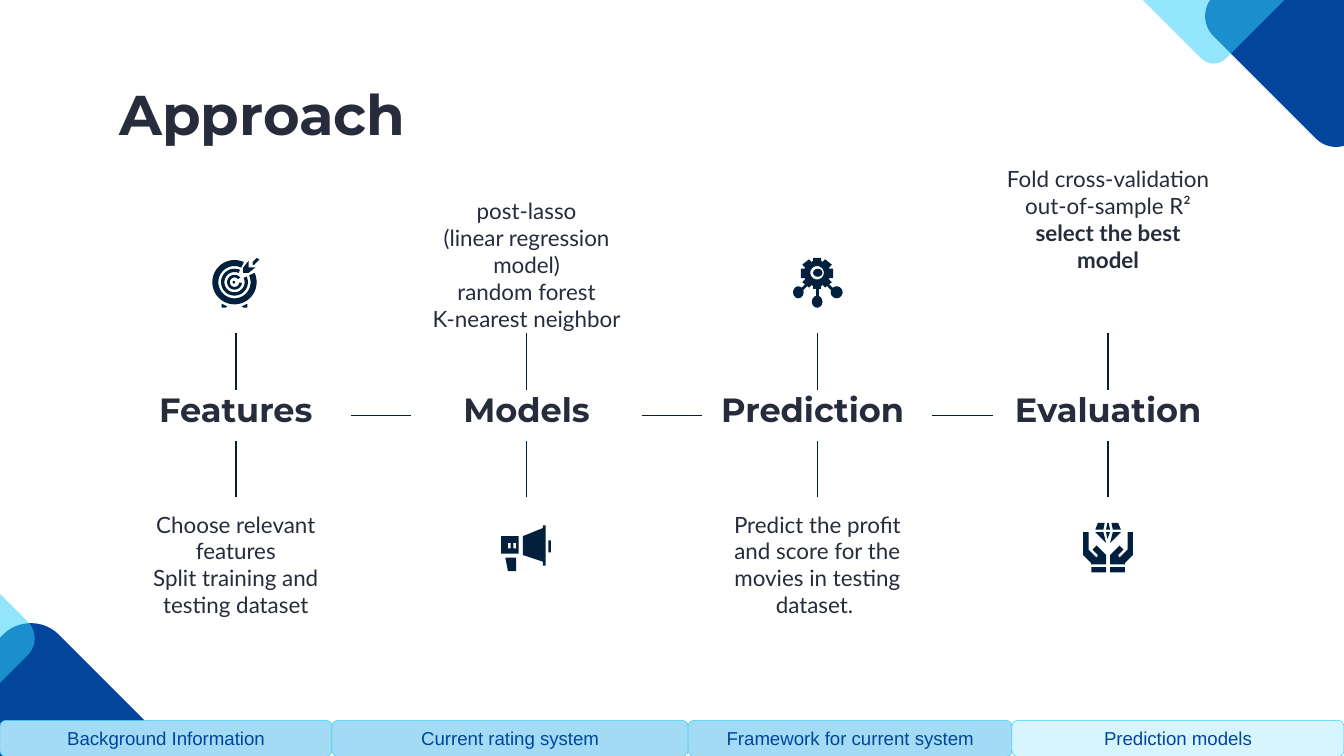
"""Build the Approach slide: four linked steps with icons and a section bar."""
import math

import lxml.etree
import pptx
import pptx.dml.color
import pptx.enum.shapes
import pptx.enum.text
import pptx.oxml.ns
import pptx.util

Inches = pptx.util.Inches
Pt = pptx.util.Pt
SHAPE = pptx.enum.shapes.MSO_SHAPE
ANCHOR = pptx.enum.text.MSO_ANCHOR
ALIGN = pptx.enum.text.PP_ALIGN
qn = pptx.oxml.ns.qn
color = pptx.dml.color.RGBColor.from_string
NAVY, BLUE, CYAN, INK = "01203D", "02459D", "33CFF8", "262C3B"

deck = pptx.Presentation()
deck.slide_width = Inches(10)
deck.slide_height = Inches(10) * 9 // 16
page = deck.slides.add_slide(deck.slide_layouts[6])


def paint(shape, fill):
    shape.shadow.inherit = False
    shape.fill.solid()
    shape.fill.fore_color.rgb = color(fill)
    shape.line.fill.background()
    return shape


def write(box, lines, font, size, ink, align=ALIGN.CENTER, bold=()):
    frame = box.text_frame
    frame.word_wrap = True
    frame.text = "\n".join(lines)
    for para in frame.paragraphs:
        para.alignment = align
        for span in para.runs:
            span.font.name, span.font.size = font, Pt(size)
            span.font.bold = span.text in bold
            span.font.color.rgb = color(ink)
    return frame


diamonds = [(0.23, 6, 2.1, BLUE), (-0.56, 4.75, 1.26, CYAN),
            (9.94, 0.12, 1.5, BLUE), (9.03, -0.11, 0.9, CYAN)]
for x, y, side, fill in diamonds:
    diamond = page.shapes.add_shape(
        SHAPE.ROUNDED_RECTANGLE, Inches(x - side / 2), Inches(y - side / 2), Inches(side), Inches(side))
    diamond.adjustments[0] = 0.14
    diamond.rotation = 45
    paint(diamond, fill)
    if fill == CYAN:
        tint = diamond.fill._xPr.find(qn("a:solidFill"))[0]
        lxml.etree.SubElement(tint, qn("a:alpha"), val="53000")

title = page.shapes.add_textbox(Inches(0.79), Inches(0.49), Inches(8.43), Inches(0.63))
write(title, ["Approach"], "Montserrat", 30, INK, ALIGN.LEFT, ["Approach"])

steps = [
    ("Features", 3.7, 0.98, ["Choose relevant features", "Split training and testing dataset"]),
    ("Models", 1.37, 1.11, ["post-lasso", "(linear regression model)", "random forest", "K-nearest neighbor"]),
    ("Prediction ", 3.7, 1.44, ["Predict the profit and score for the movies in testing dataset. "]),
    ("Evaluation", 1.13, 1.35, ["Fold cross-validation ", "out-of-sample R²", "select the best model"]),
]
links = []
boxes = [title]
for index, (name, top, height, lines) in enumerate(steps):
    left = 0.9 + 6.49 / 3 * index
    center = left + 0.855
    heading = page.shapes.add_textbox(Inches(left), Inches(2.9), Inches(1.71), Inches(0.39))
    write(heading, [name], "Montserrat", 18, INK, bold=[name]).vertical_anchor = ANCHOR.BOTTOM
    detail = page.shapes.add_textbox(Inches(left), Inches(top), Inches(1.71), Inches(height))
    write(detail, lines, "Lato", 12, INK, bold=["select the best model"])
    boxes += [heading, detail]
    links += [(center, 2.48, center, 2.9, 0.75), (center, 3.28, center, 3.7, 0.75)]
    if index < 3:
        links.append((left + 1.71, 3.09, left + 2.16, 3.09, 0.75))
for box in boxes:
    frame = box.text_frame
    frame.margin_left = frame.margin_right = frame.margin_top = frame.margin_bottom = Inches(0.1)

links += [(6.08, 2.12, 6.08, 2.24, 1.5), (6.03, 2.09, 5.94, 2.18, 1.5), (6.13, 2.09, 6.22, 2.18, 1.5)]
for x1, y1, x2, y2, width in links:
    link = page.shapes.add_connector(
        pptx.enum.shapes.MSO_CONNECTOR.STRAIGHT, Inches(x1), Inches(y1), Inches(x2), Inches(y2))
    link.line.color.rgb = color(NAVY)
    link.line.width = Pt(width)
    lxml.etree.SubElement(link._element.spPr, qn("a:effectLst"))

outlines = [
    [[(1.81, 1.99), (1.85, 1.94), (1.85, 1.99), (1.9, 1.99), (1.85, 2.03), (1.81, 2.03)]],
    [[(1.91, 1.92), (1.88, 1.95), (1.88, 1.97), (1.89, 1.97), (1.93, 1.93)]],
    [[(1.84, 2.29), (1.84, 2.26), (1.8, 2.28), (1.81, 2.29)]],
    [[(1.65, 2.29), (1.65, 2.26), (1.69, 2.28), (1.68, 2.29)]],
    [[(3.73, 3.99), (3.86, 3.99), (3.86, 4.12), (3.73, 4.12)],
     [(3.78, 4.04), (3.78, 4.08), (3.8, 4.08), (3.8, 4.04)],
     [(3.82, 4.04), (3.82, 4.08), (3.84, 4.08), (3.84, 4.04)]],
    [[(3.89, 3.99), (3.89, 4.13), (4.04, 4.18), (4.04, 4.21), (4.06, 4.21), (4.06, 3.91),
      (4.04, 3.91), (4.04, 3.93)]],
    [[(3.76, 4.15), (3.84, 4.15), (3.84, 4.25), (3.78, 4.25)]],
    [[(8.24, 3.89), (8.25, 3.89), (8.26, 3.94), (8.23, 3.94)]],
    [[(8.23, 3.96), (8.26, 3.96), (8.24, 4.01)]],
]
for inner, outer, start, end in [(0.035, 0.055, 40, 355), (0.075, 0.1, 66, 385), (0.12, 0.165, 65, 385)]:
    angles = [math.radians(start + (end - start) * step / 40) for step in range(41)]
    outlines.append([[(1.745 + radius * math.cos(angle), 2.1 - radius * math.sin(angle))
                      for radius, sweep in [(outer, angles), (inner, angles[::-1])] for angle in sweep]])

gear = [(6.11, 1.92), (6.11, 1.94), (6.12, 1.95), (6.14, 1.93), (6.19, 1.97), (6.17, 1.99), (6.17, 2),
        (6.2, 2), (6.2, 2.07), (6.17, 2.07), (6.17, 2.08), (6.19, 2.1), (6.14, 2.14), (6.12, 2.12),
        (6.11, 2.13), (6.11, 2.15)]
hole = [(6.08 + 0.05 * math.cos(step * math.pi / 18), 2.03 - 0.05 * math.sin(step * math.pi / 18))
        for step in range(36)]
outlines.append([gear + [(12.16 - x, y) for x, y in gear[::-1]], hole])

halves = [
    [(8.28, 3.96), (8.26, 4.04), (8.34, 3.96)],
    [(8.34, 3.94), (8.32, 3.89), (8.27, 3.89), (8.28, 3.94)],
    [(8.39, 4.09), (8.33, 4.15), (8.32, 4.13), (8.36, 4.09), (8.33, 4.06), (8.26, 4.13), (8.26, 4.2),
     (8.37, 4.2), (8.37, 4.19), (8.43, 4.13), (8.43, 3.96), (8.39, 3.96)],
]
for half in halves:
    outlines += [[half], [[(16.49 - x, y) for x, y in half]]]

for contours in outlines:
    builder = None
    for contour in contours:
        points = [(Inches(x), Inches(y)) for x, y in contour]
        if builder is None:
            builder = page.shapes.build_freeform(*points[0], scale=1.0)
        else:
            builder.move_to(*points[0])
        builder.add_line_segments(points[1:], close=True)
    paint(builder.convert_to_shape(), NAVY)

parts = [
    (SHAPE.OVAL, 1.73, 2.09, 0.02, 0.02),
    (SHAPE.OVAL, 6.05, 2, 0.07, 0.06),
    (SHAPE.OVAL, 5.9, 2.13, 0.08, 0.09),
    (SHAPE.OVAL, 6.04, 2.2, 0.08, 0.09),
    (SHAPE.OVAL, 6.18, 2.13, 0.09, 0.09),
    (SHAPE.RECTANGLE, 4.08, 4.02, 0.02, 0.09),
    (SHAPE.RECTANGLE, 8.12, 4.22, 0.11, 0.04),
    (SHAPE.RECTANGLE, 8.26, 4.22, 0.11, 0.04),
]
for kind, *place in parts:
    paint(page.shapes.add_shape(kind, *map(Inches, place)), NAVY)

sections = ["Background Information", "Current rating system", "Framework for current system", "Prediction models"]
edges = [0, 2.47, 5.12, 7.53, 10]
for name, left, right in zip(sections, edges, edges[1:]):
    tab = page.shapes.add_shape(
        SHAPE.ROUNDED_RECTANGLE, Inches(left), Inches(5.36), Inches(right - left), Inches(0.27))
    paint(tab, "D6F5FE" if name == sections[-1] else "A2DBF3")
    tab.line.color.rgb = color(CYAN)
    tab.line.width = Pt(0.25)
    write(tab, [name], "Arial", 10, BLUE).vertical_anchor = ANCHOR.MIDDLE

deck.save("out.pptx")
